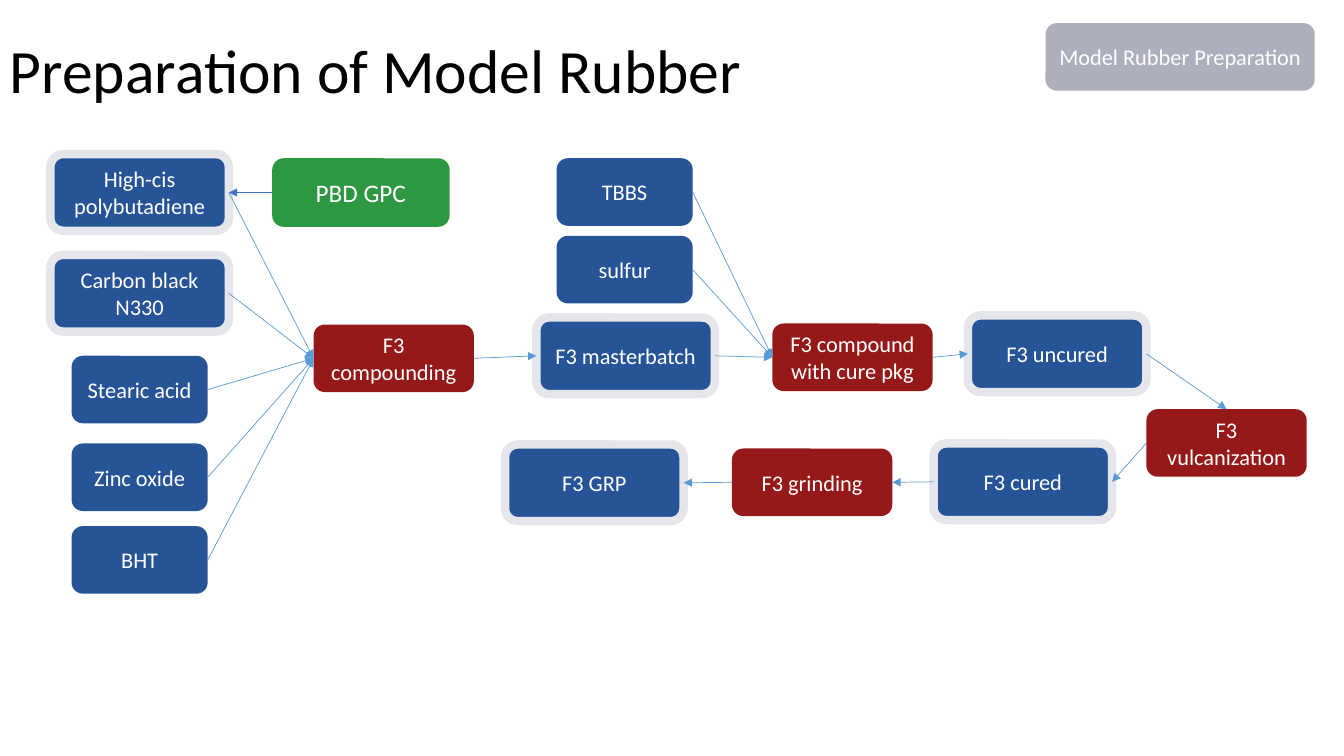
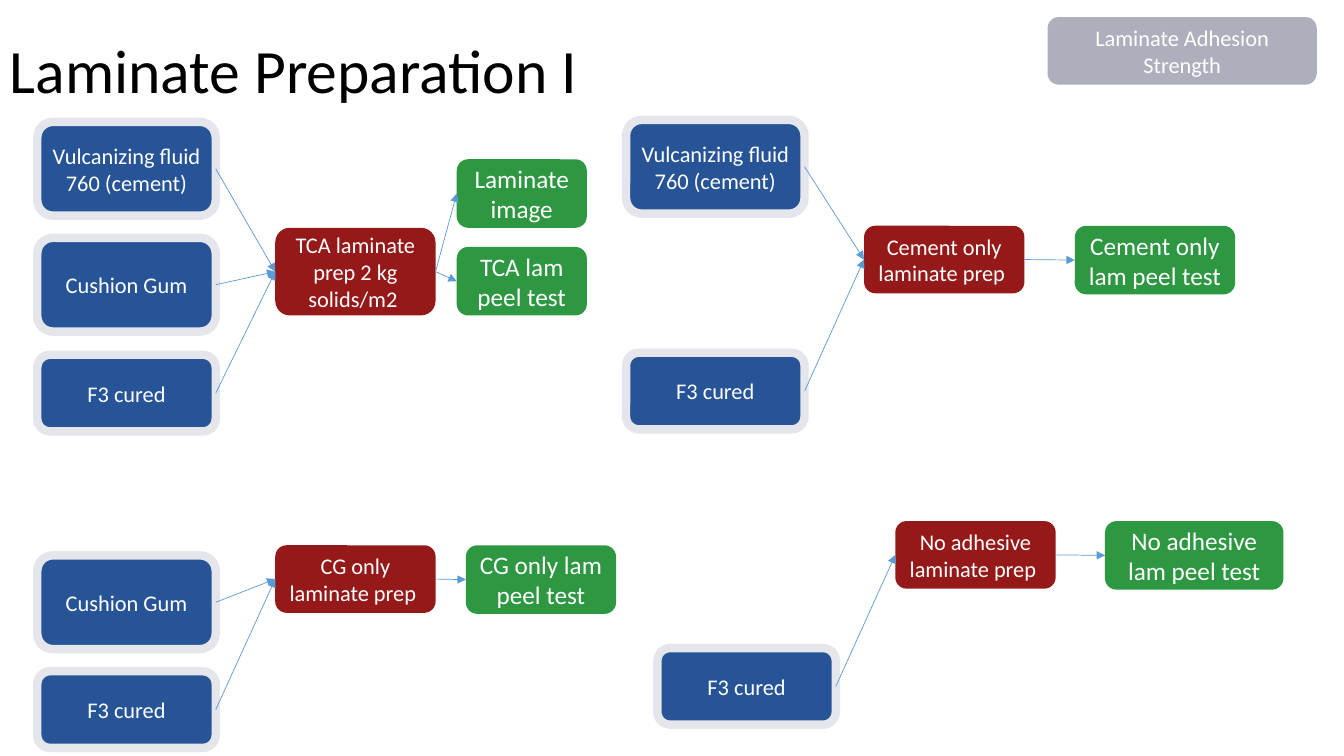
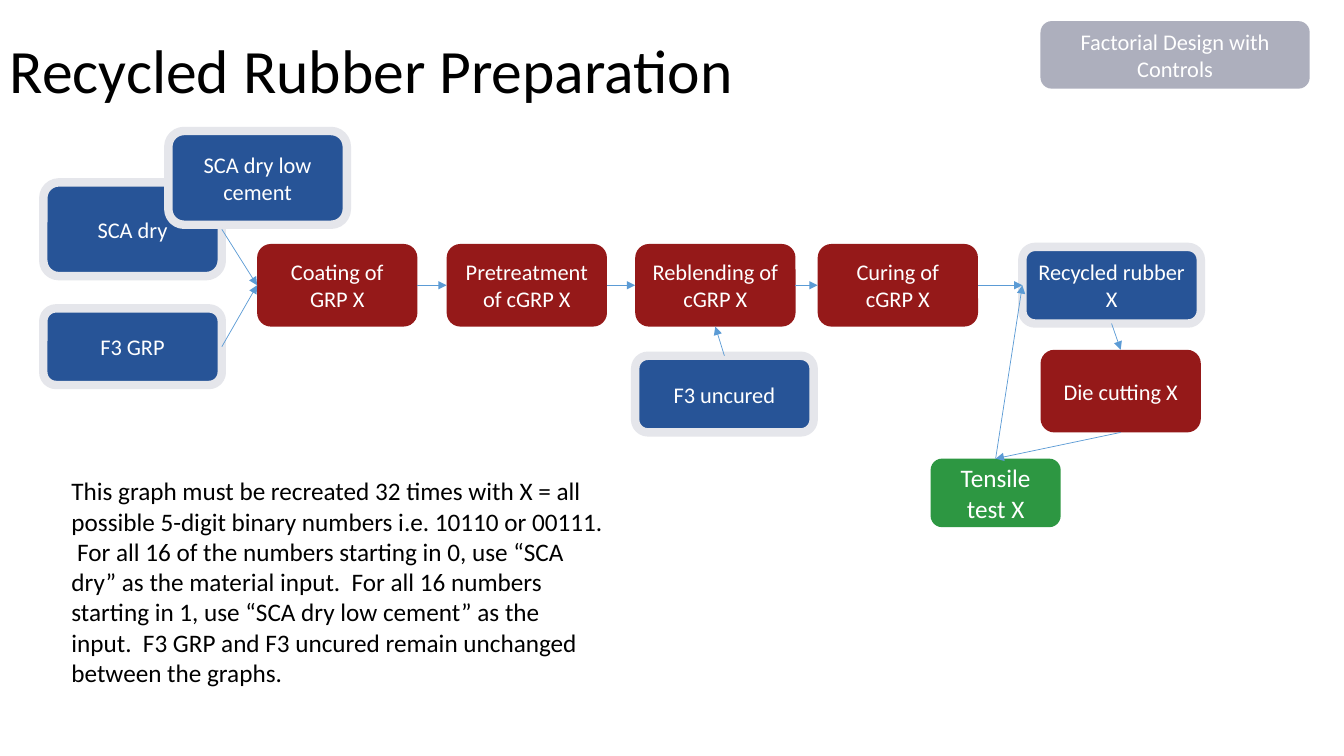
from dataclasses import dataclass
from typing import NamedTuple

from lxml import etree
from pptx import Presentation
from pptx.dml.color import RGBColor
from pptx.enum.shapes import MSO_CONNECTOR, MSO_SHAPE
from pptx.enum.text import MSO_ANCHOR, PP_ALIGN
from pptx.oxml.ns import qn
from pptx.util import Inches, Pt

ROUNDED = MSO_SHAPE.ROUNDED_RECTANGLE
STRAIGHT = MSO_CONNECTOR.STRAIGHT
MIDDLE = MSO_ANCHOR.MIDDLE
CENTER, LEFT_ALIGNED = PP_ALIGN.CENTER, PP_ALIGN.LEFT
TOP, LEFT, BOTTOM, RIGHT = range(4)

FONT = "Calibri"
BLANK_LAYOUT = 6
COLOURS = {
    "blue": "275497",
    "red": "951919",
    "green": "2D9742",
    "grey": "ADAFBD",
    "halo": "E5E6EB",
    "arrow": "5B9BD5",
    "dark arrow": "4472C4",
    "white": "FFFFFF",
    "black": "000000",
}


# Shared box styles
class Style(NamedTuple):
    fill: str
    width: float
    height: float
    size: int = 16
    halo: bool = False


INGREDIENT = Style("blue", 1.35, 0.67)
STOCK = Style("blue", 1.77, 0.76, halo=True)
TALL_STOCK = STOCK._replace(height=0.93)
PROCESS = Style("red", 1.59, 0.67)
TALL_PROCESS = PROCESS._replace(height=0.82)
TEST = Style("green", 1.29, 0.68, size=18)
TAG = Style("grey", 2.67, 0.67)


# Slide contents
class Box(NamedTuple):
    key: str
    text: str
    style: Style
    left: float
    top: float


class Arrow(NamedTuple):
    source: str
    target: str
    start: int = RIGHT
    end: int = LEFT
    colour: str = "arrow"


class Note(NamedTuple):
    text: str
    left: float
    top: float
    width: float
    height: float


@dataclass
class Page:
    title: str
    boxes: list[Box]
    arrows: list[Arrow]
    notes: tuple[Note, ...] = ()


def fan_in(sources: list[str], target: str) -> list[Arrow]:
    return [Arrow(source, target) for source in sources]


def chain(*keys: str) -> list[Arrow]:
    return [Arrow(source, target) for source, target in zip(keys, keys[1:])]


MODEL_RUBBER = Page(
    "Preparation of Model Rubber",
    [
        Box("polybutadiene", "High-cis polybutadiene", STOCK, 0.5, 1.53),
        Box("carbon", "Carbon black N330", STOCK, 0.5, 2.53),
        Box("stearic", "Stearic acid", INGREDIENT, 0.71, 3.53),
        Box("zinc", "Zinc oxide", INGREDIENT, 0.71, 4.4),
        Box("bht", "BHT", INGREDIENT, 0.71, 5.22),
        Box("gpc", "PBD GPC", TEST._replace(width=1.76), 2.7, 1.57),
        Box("compounding", "F3 compounding", PROCESS, 3.11, 3.22),
        Box("tbbs", "TBBS", INGREDIENT, 5.52, 1.57),
        Box("sulfur", "sulfur", INGREDIENT, 5.52, 2.34),
        Box("masterbatch", "F3 masterbatch", STOCK, 5.32, 3.15),
        Box("cure", "F3 compound with cure pkg", PROCESS, 7.66, 3.21),
        Box("uncured", "F3 uncured", STOCK, 9.6, 3.13),
        Box("vulcanization", "F3 vulcanization", PROCESS, 11.37, 4.06),
        Box("cured", "F3 cured", STOCK, 9.26, 4.4),
        Box("grinding", "F3 grinding", PROCESS, 7.26, 4.45),
        Box("grp", "F3 GRP", STOCK, 5.01, 4.41),
        Box("tag", "Model Rubber Preparation", TAG, 10.37, 0.23),
    ],
    [
        Arrow("gpc", "polybutadiene", LEFT, RIGHT, "dark arrow"),
        *fan_in(["polybutadiene", "carbon", "stearic", "zinc", "bht"], "compounding"),
        *chain("compounding", "masterbatch", "cure", "uncured"),
        *fan_in(["sulfur", "tbbs"], "cure"),
        Arrow("uncured", "vulcanization", RIGHT, TOP),
        Arrow("vulcanization", "cured", LEFT, RIGHT),
        Arrow("cured", "grinding", LEFT, RIGHT),
        Arrow("grinding", "grp", LEFT, RIGHT),
    ],
)

LAMINATE = Page(
    "Laminate Preparation I",
    [
        # Cement and cushion gum
        Box("tca fluid", "Vulcanizing fluid 760 (cement)", TALL_STOCK, 0.37, 1.21),
        Box("tca gum", "Cushion Gum", TALL_STOCK, 0.37, 2.36),
        Box("tca cured", "F3 cured", STOCK, 0.37, 3.52),
        Box("tca prep", "TCA laminate prep 2 kg solids/m2 ",
            PROCESS._replace(height=0.87), 2.73, 2.26),
        Box("image", "Laminate image", TEST, 4.53, 1.58),
        Box("tca peel", "TCA lam peel test", TEST, 4.53, 2.45),
        # Cushion gum only
        Box("gum", "Cushion Gum", TALL_STOCK, 0.37, 5.51),
        Box("gum cured", "F3 cured", STOCK, 0.37, 6.66),
        Box("gum prep", "CG only laminate prep ", PROCESS, 2.73, 5.41),
        Box("gum peel", "CG only lam peel test", TEST._replace(width=1.49), 4.62, 5.41),
        # Cement only
        Box("fluid", "Vulcanizing fluid 760 (cement)", TALL_STOCK, 6.21, 1.19),
        Box("cement cured", "F3 cured", STOCK, 6.21, 3.5),
        Box("cement prep", "Cement only laminate prep ", PROCESS, 8.57, 2.24),
        Box("cement peel", "Cement only lam peel test",
            TEST._replace(width=1.59), 10.66, 2.24),
        # No adhesive
        Box("bare cured", "F3 cured", STOCK, 6.52, 6.43),
        Box("bare prep", "No adhesive laminate prep ", PROCESS, 8.88, 5.17),
        Box("bare peel", "No adhesive lam peel test",
            TEST._replace(width=1.77), 10.96, 5.17),
        Box("tag", "Laminate Adhesion Strength", TAG, 10.39, 0.17),
    ],
    [
        *fan_in(["tca fluid", "tca gum", "tca cured"], "tca prep"),
        *chain("tca prep", "tca peel"),
        *chain("tca prep", "image"),
        *fan_in(["gum", "gum cured"], "gum prep"),
        *chain("gum prep", "gum peel"),
        *fan_in(["fluid", "cement cured"], "cement prep"),
        *chain("cement prep", "cement peel"),
        *chain("bare cured", "bare prep", "bare peel"),
    ],
)

RECYCLED_RUBBER = Page(
    "Recycled Rubber Preparation",
    [
        Box("grp", "F3 GRP", STOCK, 0.43, 3.06),
        Box("dry", "SCA dry", TALL_STOCK, 0.43, 1.81),
        Box("low cement", "SCA dry low cement", TALL_STOCK, 1.67, 1.3),
        Box("coating", "Coating of GRP X", TALL_PROCESS, 2.55, 2.42),
        Box("pretreatment", "Pretreatment of cGRP X", TALL_PROCESS, 4.43, 2.42),
        Box("reblending", "Reblending of cGRP X", TALL_PROCESS, 6.3, 2.42),
        Box("curing", "Curing of cGRP X", TALL_PROCESS, 8.11, 2.42),
        Box("uncured", "F3 uncured", STOCK, 6.3, 3.53),
        Box("recycled", "Recycled rubber X", STOCK, 10.14, 2.45),
        Box("cutting", "Die cutting X", TALL_PROCESS, 10.32, 3.47),
        Box("tensile", "Tensile test X", TEST, 9.23, 4.55),
        Box("tag", "Factorial Design with Controls", TAG, 10.32, 0.21),
    ],
    [
        *fan_in(["dry", "grp"], "coating"),
        *chain("coating", "pretreatment", "reblending", "curing", "recycled"),
        Arrow("uncured", "reblending", TOP, BOTTOM),
        Arrow("recycled", "cutting", BOTTOM, TOP),
        Arrow("cutting", "tensile", BOTTOM, TOP),
        Arrow("tensile", "recycled", TOP, LEFT),
    ],
    (
        Note(
            "This graph must be recreated 32 times with X = all possible 5-digit "
            "binary numbers i.e. 10110 or 00111.  For all 16 of the numbers starting "
            "in 0, use “SCA dry” as the material input.  For all 16 numbers starting "
            "in 1, use “SCA dry low cement” as the input.  F3 GRP and F3 uncured "
            "remain unchanged between the graphs.",
            0.61, 4.67, 5.49, 2.22,
        ),
    ),
)


# Drawing functions
def colour(name: str) -> RGBColor:
    return RGBColor.from_string(COLOURS[name])


def write(shape, text: str, size: int, ink: str, align=LEFT_ALIGNED):
    frame = shape.text_frame
    frame.word_wrap = True
    para = frame.paragraphs[0]
    para.alignment = align
    span = para.add_run()
    span.text = text
    span.font.name = FONT
    span.font.size = Pt(size)
    span.font.color.rgb = colour(ink)
    return frame


def draw_title(slide, text: str) -> None:
    shape = slide.shapes.add_textbox(0, 0, Inches(11.5), Inches(1.45))
    frame = write(shape, text, 44, "black")
    frame.vertical_anchor = MIDDLE
    frame.paragraphs[0].line_spacing = 0.9


def draw_note(slide, note: Note) -> None:
    area = map(Inches, (note.left, note.top, note.width, note.height))
    write(slide.shapes.add_textbox(*area), note.text, 18, "black")


def draw_box(slide, box: Box):
    style = box.style
    area = map(Inches, (box.left, box.top, style.width, style.height))
    shape = slide.shapes.add_shape(ROUNDED, *area)
    shape.shadow.inherit = False
    shape.fill.solid()
    shape.fill.fore_color.rgb = colour(style.fill)
    if style.halo:
        shape.line.color.rgb = colour("halo")
        shape.line.width = Pt(6)
    else:
        shape.line.fill.background()
    frame = write(shape, box.text, style.size, "white", CENTER)
    frame.vertical_anchor = MIDDLE
    return shape


def draw_arrow(slide, arrow: Arrow, shapes: dict) -> None:
    connector = slide.shapes.add_connector(STRAIGHT, 0, 0, 0, 0)
    connector.begin_connect(shapes[arrow.source], arrow.start)
    connector.end_connect(shapes[arrow.target], arrow.end)
    connector.line.color.rgb = colour(arrow.colour)
    connector.line.width = Pt(0.5)
    properties = connector._element.spPr
    etree.SubElement(properties.find(qn("a:ln")), qn("a:tailEnd"), type="triangle")
    etree.SubElement(properties, qn("a:effectLst"))


def draw_page(deck, page: Page) -> None:
    slide = deck.slides.add_slide(deck.slide_layouts[BLANK_LAYOUT])
    draw_title(slide, page.title)
    shapes = {box.key: draw_box(slide, box) for box in page.boxes}
    for arrow in page.arrows:
        draw_arrow(slide, arrow, shapes)
    for note in page.notes:
        draw_note(slide, note)


def main() -> None:
    deck = Presentation()
    deck.slide_width = Inches(13.33)
    deck.slide_height = Inches(7.5)
    for page in (MODEL_RUBBER, LAMINATE, RECYCLED_RUBBER):
        draw_page(deck, page)
    deck.save("out.pptx")


if __name__ == "__main__":
    main()
